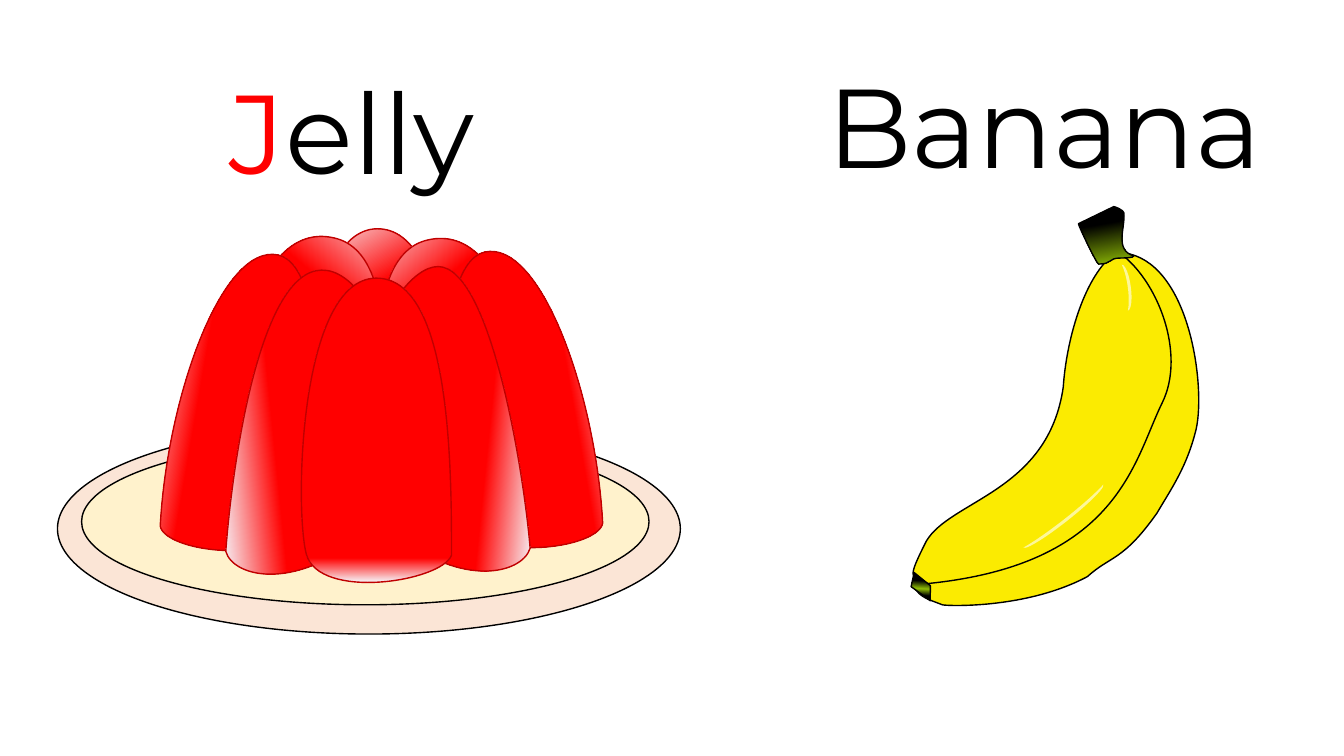
from dataclasses import dataclass
from math import cos, radians, sin

from lxml.etree import SubElement
from pptx import Presentation
from pptx.dml.color import RGBColor
from pptx.enum.shapes import MSO_SHAPE
from pptx.enum.text import MSO_AUTO_SIZE
from pptx.oxml.ns import qn
from pptx.util import Cm, Pt


@dataclass(frozen=True)
class Theme:
    font: str = "Montserrat"
    word_size: int = 80
    line_width: float = 1
    ink: str = "000000"
    accent: str = "FF0000"
    plate_rim: str = "FBE5D6"
    plate: str = "FFF2CC"
    shine: str = "F6F8FC"
    jelly: str = "FF0000"
    jelly_edge: str = "C00000"
    peel: str = "FBEB01"
    stalk: str = "91BE05"
    glint: str = "FFFFFF"
    glint_opacity: int = 60


THEME = Theme()
CURVE_STEPS = 20
JELLY_AXIS = 3.78

# Outlines: a start point, then lines (x, y) and Bezier curves (two handles, end).
CENTRE_LOBE = [(3.05, 5.01), (2.93, 4.55, 2.98, 2.28, 3.74, 2.27),
               (4.49, 2.26, 4.49, 4.18, 4.49, 5.02), (4.39, 5.28, 3.18, 5.47, 3.05, 5.01)]
BACK_LOBE = [(4.02, 5.02), (3.82, 4.57, 3.45, 2.55, 4.25, 2.38),
             (5.05, 2.2, 5.35, 3.76, 5.41, 5.07), (5.36, 5.33, 4.21, 5.46, 4.02, 5.02)]
SIDE_LOBE = [(4.58, 5.14), (4.39, 4.69, 4.27, 2.62, 4.81, 2.5),
             (5.36, 2.38, 5.91, 3.89, 5.98, 5.19), (5.93, 5.45, 4.78, 5.59, 4.58, 5.14)]
RIGHT_LOBE = [(3.82, 5.21), (3.11, 4.57, 3.77, 2.76, 4.3, 2.65),
              (4.84, 2.53, 5.19, 4.6, 5.26, 5.44), (5.18, 5.7, 4.54, 5.86, 3.82, 5.21)]
LEFT_LOBE = [(3.67, 5.24), (4.38, 4.6, 3.81, 2.66, 3.19, 2.68),
             (2.57, 2.69, 2.3, 4.64, 2.24, 5.47), (2.31, 5.73, 2.96, 5.89, 3.67, 5.24)]
BANANA_BODY = [(11.02, 2.58), (11.21, 2.52), (11.81, 2.67, 11.96, 3.83, 11.87, 4.25),
               (11.78, 4.63, 11.62, 4.85, 11.48, 5.09), (11.14, 5.57, 11.02, 5.51, 10.79, 5.72),
               (10.17, 6.05, 9.37, 6.01, 9.35, 6), (9.15, 5.92, 8.95, 5.89, 9.16, 5.51),
               (9.43, 5.12, 10.55, 4.81, 10.67, 3.76), (10.67, 3.29, 10.73, 2.88, 11.02, 2.63),
               (11.02, 2.58)]
BANANA_FRONT = [(11.04, 2.53), (10.89, 2.4), (11.39, 2.53, 11.81, 3.44, 11.53, 4),
                (11.25, 4.57, 11.1, 5.6, 9.2, 5.79), (9.03, 5.72, 9, 5.75, 9.19, 5.37),
                (9.43, 4.96, 10.4, 4.88, 10.55, 3.84), (10.58, 3.38, 10.75, 2.77, 11.04, 2.53)]
STALK = [(10.7, 2.22), (11.05, 2.05), (11.07, 2.05, 11.15, 2.09, 11.15, 2.11),
         (11.17, 2.25, 11.05, 2.48, 11.25, 2.54), (11.25, 2.56, 11.14, 2.56, 11.12, 2.56),
         (10.99, 2.56, 11.04, 2.62, 10.9, 2.62), (10.88, 2.62, 10.7, 2.24, 10.7, 2.22)]
TIP = [(9.07, 5.68), (9.23, 5.81), (9.23, 5.96), (9.04, 5.82), (9.07, 5.68)]


def grid(units):
    """Turn drawing units of 2.54 cm into a length."""
    return Cm(units * 2.54)


def colour(code):
    return RGBColor.from_string(code)


def move(outline, dx=0, dy=0, mirrored=False):
    """Shift an outline, first mirroring it about the jelly's axis if asked."""
    return [tuple(value + dy if i % 2 else (2 * JELLY_AXIS - value if mirrored else value) + dx
                  for i, value in enumerate(segment)) for segment in outline]


def trace(outline):
    """Return points along an outline, from which its true extent is measured."""
    points = [outline[0]]
    for segment in outline[1:]:
        if len(segment) == 2:
            points.append(segment)
            continue
        x0, y0 = points[-1]
        x1, y1, x2, y2, x3, y3 = segment
        for step in range(1, CURVE_STEPS + 1):
            t = step / CURVE_STEPS
            a, b, c, d = (1 - t) ** 3, 3 * t * (1 - t) ** 2, 3 * t * t * (1 - t), t ** 3
            points.append((a * x0 + b * x1 + c * x2 + d * x3,
                           a * y0 + b * y1 + c * y2 + d * y3))
    return points


def turn(outline, degrees):
    angle = radians(degrees)
    return [tuple(value for x, y in zip(segment[::2], segment[1::2])
                  for value in (x * cos(angle) - y * sin(angle), x * sin(angle) + y * cos(angle)))
            for segment in outline]


def upright(outline, rotation):
    """Undo a rotation about the centre that the upright frame will have."""
    outline = turn(outline, -rotation)
    centre = tuple((min(axis) + max(axis)) / 2 for axis in zip(*trace(outline)))
    target = turn([centre], rotation)[0]
    return move(outline, target[0] - centre[0], target[1] - centre[1])


def fill_gradient(shape, stops, angle):
    shape.fill.gradient()
    shape.fill.gradient_angle = -angle % 360
    stop_list = shape._element.spPr.find(".//" + qn("a:gsLst"))
    stop_list.clear()
    for position, code in stops:
        stop = SubElement(stop_list, qn("a:gs"), pos=str(position * 1000))
        SubElement(stop, qn("a:srgbClr"), val=code)


def finish(shape, fill=None, edge=None):
    shape.shadow.inherit = False
    if fill:
        shape.fill.solid()
        shape.fill.fore_color.rgb = colour(fill)
    if edge:
        shape.line.color.rgb = colour(edge)
        shape.line.width = Pt(THEME.line_width)
    else:
        shape.line.fill.background()


def draw_curves(shape, outline):
    """Replace a freeform's many short lines by the outline's own segments."""
    contour = shape._element.spPr.find(".//" + qn("a:path"))
    for old_segment in list(contour):
        contour.remove(old_segment)
    for i, segment in enumerate(outline):
        tag = "a:moveTo" if i == 0 else "a:lnTo" if len(segment) == 2 else "a:cubicBezTo"
        drawn = SubElement(contour, qn(tag))
        for x, y in zip(segment[::2], segment[1::2]):
            SubElement(drawn, qn("a:pt"), x=str(grid(x) - shape.left), y=str(grid(y) - shape.top))
    SubElement(contour, qn("a:close"))


def add_outline(group, outline, rotation=0, fill=None, edge=THEME.ink):
    outline = upright(outline, rotation)
    points = [(grid(x), grid(y)) for x, y in trace(outline)]
    builder = group.shapes.build_freeform(*points[0])
    builder.add_line_segments(points[1:])
    shape = builder.convert_to_shape()
    draw_curves(shape, outline)
    shape.rotation = rotation
    finish(shape, fill, edge)
    return shape


def add_lobe(group, outline, rotation, angle, shine_end=26):
    lobe = add_outline(group, outline, rotation, edge=THEME.jelly_edge)
    fill_gradient(lobe, [(0, THEME.shine), (shine_end, THEME.jelly)], angle)


def add_preset(group, preset, box, fill, edge=None):
    shape = group.shapes.add_shape(preset, *map(grid, box))
    finish(shape, fill, edge)
    return shape


def add_glint(group, box, rotation):
    glint = add_preset(group, MSO_SHAPE.MOON, box, THEME.glint)
    glint.rotation = rotation
    glint._element.spPr.find(qn("a:xfrm")).set("flipH", "1")
    tint = glint._element.spPr.find(qn("a:solidFill"))[0]
    SubElement(tint, qn("a:alpha"), val=str(THEME.glint_opacity * 1000))


def add_word(group, box, parts):
    """Write one word from (letters, colour) parts."""
    frame = group.shapes.add_textbox(*map(grid, box)).text_frame
    frame.word_wrap = True
    frame.auto_size = MSO_AUTO_SIZE.SHAPE_TO_FIT_TEXT
    for letters, code in parts:
        run = frame.paragraphs[0].add_run()
        run.text = letters
        run.font.name = THEME.font
        run.font.size = Pt(THEME.word_size)
        run.font.color.rgb = colour(code)


def draw_jelly(group):
    add_word(group, (2.18, 0.57, 3.23, 1.45), [("J", THEME.accent), ("elly", THEME.ink)])
    add_preset(group, MSO_SHAPE.OVAL, (0.57, 4.2, 6.18, 2.09), THEME.plate_rim, THEME.ink)
    add_preset(group, MSO_SHAPE.OVAL, (0.81, 4.35, 5.63, 1.65), THEME.plate, THEME.ink)
    add_lobe(group, CENTRE_LOBE, 0, 60)
    add_lobe(group, BACK_LOBE, 350.2, 60)
    add_lobe(group, SIDE_LOBE, 350.2, 180)
    add_lobe(group, RIGHT_LOBE, 355.8, 190)
    add_lobe(group, move(BACK_LOBE, dy=-0.02, mirrored=True), 9.8, 120)
    add_lobe(group, move(SIDE_LOBE, dx=0.01, dy=0.03, mirrored=True), 9.8, 0, 29)
    add_lobe(group, LEFT_LOBE, 4.2, 350, 29)
    add_lobe(group, move(CENTRE_LOBE, dx=-0.01, dy=0.49), 0, 270, 8)


def draw_banana(group):
    for peel in (BANANA_BODY, BANANA_FRONT):
        add_outline(group, peel, 284.6, THEME.peel)
    fill_gradient(add_outline(group, STALK), [(32, THEME.ink), (100, THEME.stalk)], 80)
    fill_gradient(add_outline(group, TIP, 13.5),
                  [(31, THEME.ink), (58, THEME.stalk), (81, THEME.ink)], 80)
    add_glint(group, (10.54, 4.64, 0.06, 1.01), 51.8)
    add_glint(group, (11.16, 2.62, 0.06, 0.46), 352.4)
    add_word(group, (8.11, 0.51, 4.92, 1.45), [("Banana", THEME.ink)])


def main():
    presentation = Presentation()
    presentation.slide_width, presentation.slide_height = Cm(33.87), Cm(19.05)
    slide = presentation.slides.add_slide(presentation.slide_layouts[6])
    draw_jelly(slide.shapes.add_group_shape())
    draw_banana(slide.shapes.add_group_shape())
    presentation.save("out.pptx")


if __name__ == "__main__":
    main()
